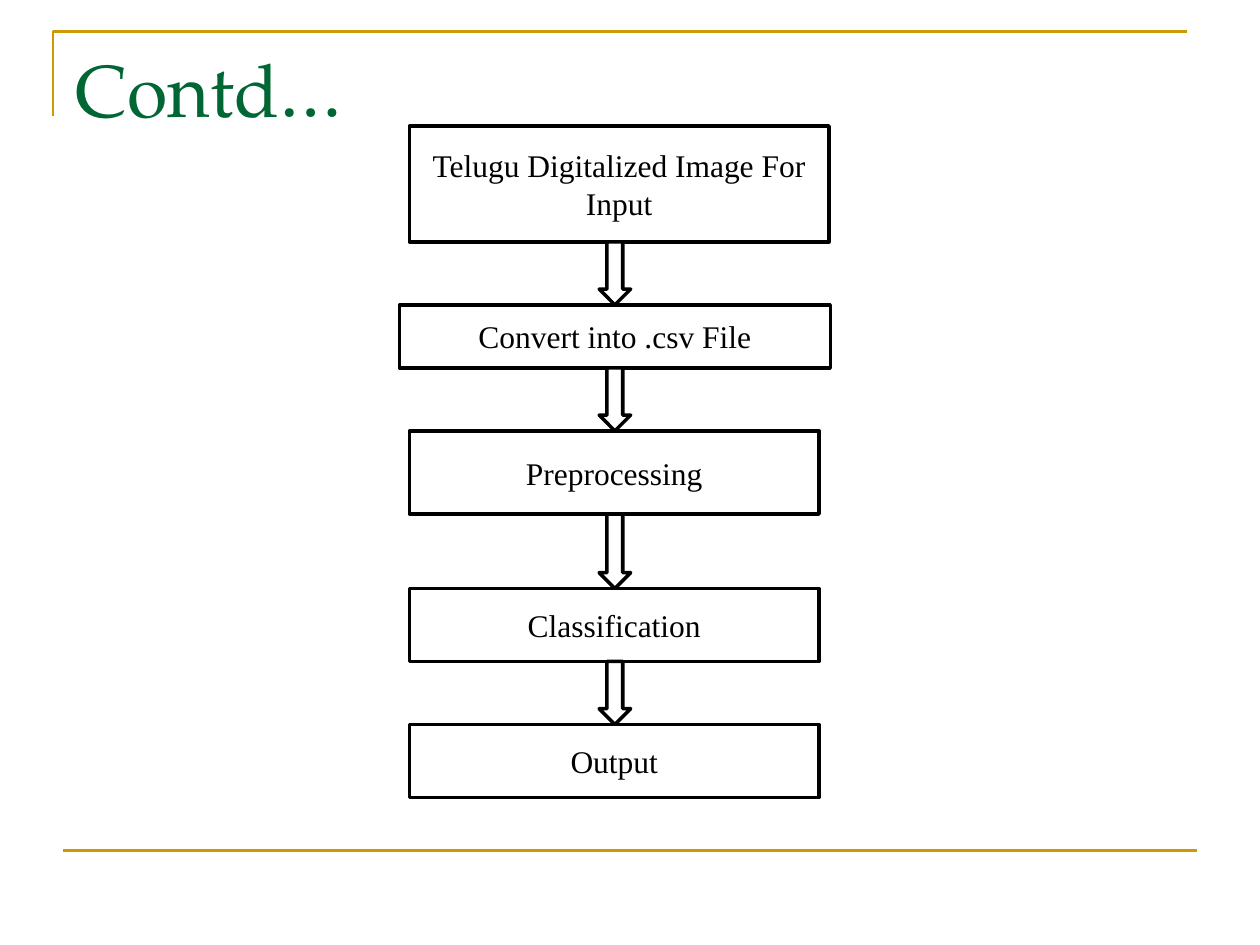
from itertools import pairwise

from lxml.etree import SubElement
from pptx import Presentation
from pptx.dml.color import RGBColor
from pptx.enum.shapes import MSO_CONNECTOR, MSO_SHAPE
from pptx.enum.text import MSO_ANCHOR, PP_ALIGN
from pptx.oxml.ns import qn
from pptx.util import Inches, Pt

COLORS = {"title": "006633", "rule": "CC9900", "ink": "000000", "paper": "FFFFFF"}
TITLE_FONT = {"name": "TeX Gyre Pagella", "size": Pt(42), "bold": False}
STEP_FONT = {"name": "Times New Roman", "size": Pt(18)}
ARROW_WIDTH = 0.25

# Each step: text, then left, top, width and height inside the flowchart box
FLOWCHART_BOX = (3.17, 1, 3.42, 5.33)
STEPS = [
    ("Telugu Digitalized Image For Input", 0.08, 0, 3.33, 0.92),
    ("Convert into .csv File", 0, 1.42, 3.42, 0.5),
    ("Preprocessing", 0.08, 2.42, 3.25, 0.66),
    ("Classification", 0.08, 3.67, 3.25, 0.58),
    ("Output", 0.08, 4.75, 3.25, 0.58),
]


def color(name):
    return RGBColor.from_string(COLORS[name])


def set_values(target, values):
    for name, value in values.items():
        setattr(target, name, value)


def style_line(shape, name, width):
    shape.line.color.rgb = color(name)
    shape.line.width = Pt(width)


def write(shape, text, font_values, color_name, alignment, anchor):
    frame = shape.text_frame
    set_values(frame, {"word_wrap": True, "vertical_anchor": anchor})
    paragraph = frame.paragraphs[0]
    paragraph.alignment = alignment
    run = paragraph.add_run()
    run.text = text
    set_values(run.font, font_values)
    run.font.color.rgb = color(color_name)


def add_box(slide, preset, left, top, width, height):
    shape = slide.shapes.add_shape(
        preset, Inches(left), Inches(top), Inches(width), Inches(height))
    shape.shadow.inherit = False
    shape.fill.solid()
    shape.fill.fore_color.rgb = color("paper")
    style_line(shape, "ink", 2)
    return shape


def add_frame(slide, left, top, width, height):
    # Corner rule above the title
    corner_height = 0.67
    builder = slide.shapes.build_freeform(
        Inches(left), Inches(top + corner_height), scale=1.0)
    builder.add_line_segments(
        [(Inches(left), Inches(top)), (Inches(left + width), Inches(top))], close=False)
    corner = builder.convert_to_shape()
    corner.shadow.inherit = False
    corner.fill.background()
    style_line(corner, "rule", 1.5)

    # Footer rule, shifted slightly to the right
    start, bottom = left + 0.08, Inches(top + height)
    footer = slide.shapes.add_connector(
        MSO_CONNECTOR.STRAIGHT, Inches(start), bottom, Inches(start + width), bottom)
    style_line(footer, "rule", 1.5)
    SubElement(footer.element.spPr, qn("a:effectLst"))


def add_title(slide, text, left, top, width, height):
    title = slide.shapes.title
    set_values(title, {"left": Inches(left), "top": Inches(top),
                       "width": Inches(width), "height": Inches(height)})
    write(title, text, TITLE_FONT, "title", PP_ALIGN.LEFT, MSO_ANCHOR.TOP)


def add_flowchart(slide, steps, left, top, width, height):
    for text, step_left, step_top, step_width, step_height in steps:
        step = add_box(slide, MSO_SHAPE.RECTANGLE, left + step_left,
                       top + step_top, step_width, step_height)
        write(step, text, STEP_FONT, "ink", PP_ALIGN.CENTER, MSO_ANCHOR.MIDDLE)

    # Arrows fill the gaps between consecutive steps
    arrow_left = left + (width - ARROW_WIDTH) / 2
    for upper, lower in pairwise(steps):
        gap_top = upper[2] + upper[4]
        add_box(slide, MSO_SHAPE.DOWN_ARROW, arrow_left, top + gap_top,
                ARROW_WIDTH, lower[2] - gap_top)


presentation = Presentation()
set_values(presentation, {"slide_width": Inches(10), "slide_height": Inches(7.5)})
slide = presentation.slides.add_slide(presentation.slide_layouts[5])
slide.background.fill.solid()
slide.background.fill.fore_color.rgb = color("paper")

add_frame(slide, 0.42, 0.25, 9, 6.5)
add_title(slide, "Contd…", 0.5, 0.3, 9, 1.25)
add_flowchart(slide, STEPS, *FLOWCHART_BOX)
presentation.save("out.pptx")
